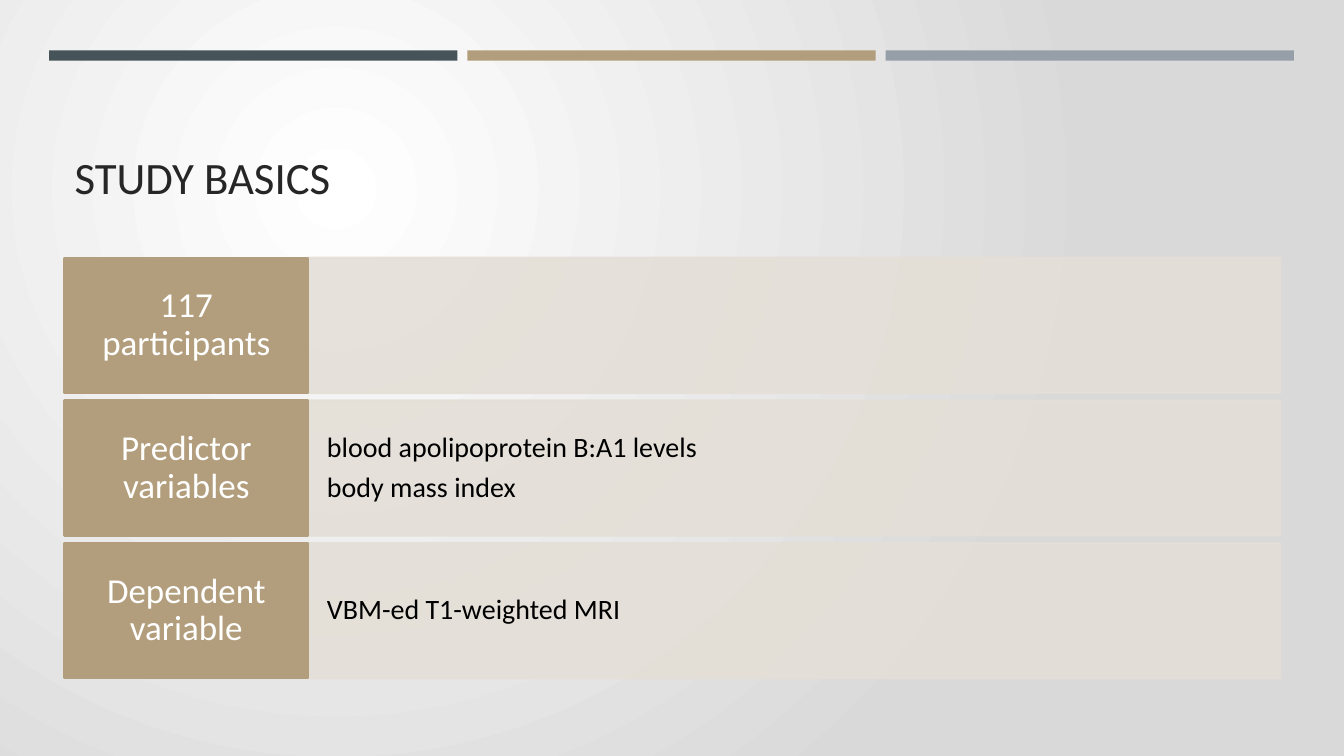
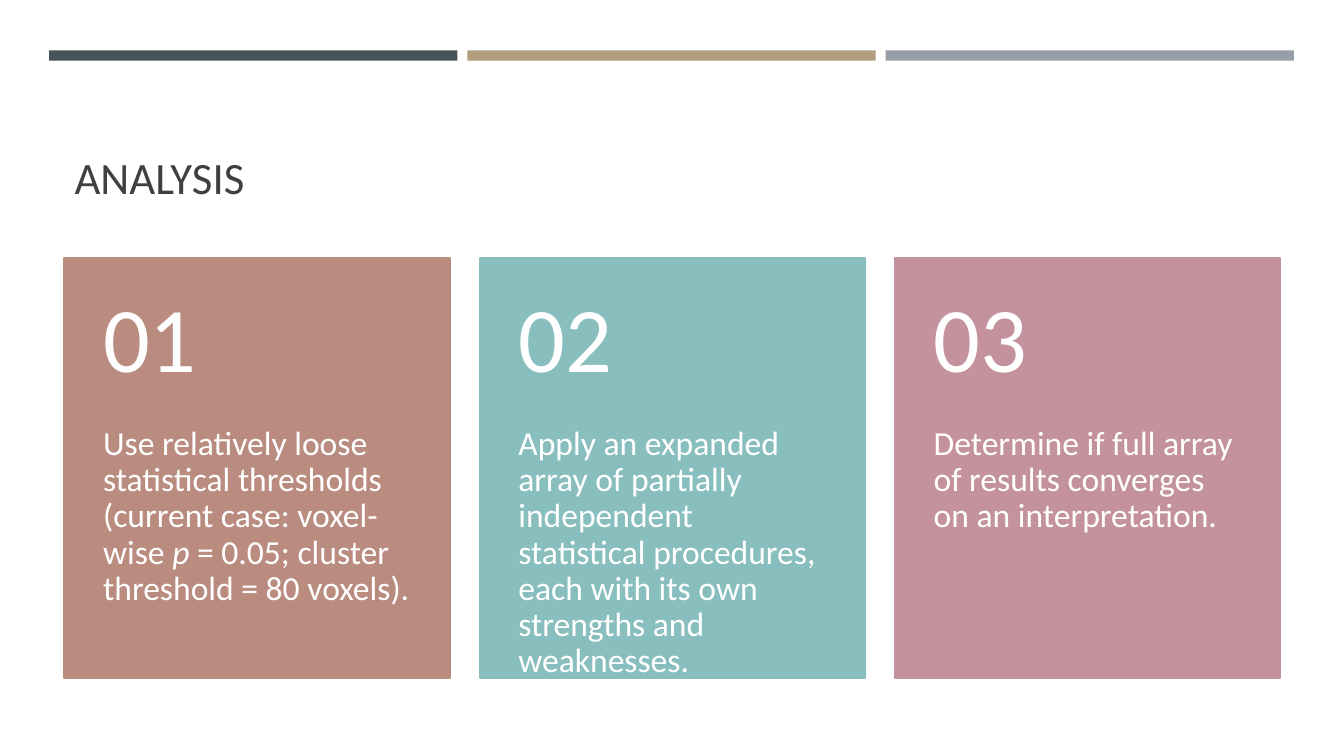
from lxml.etree import SubElement
from pptx import Presentation
from pptx.dml.color import RGBColor
from pptx.enum.shapes import MSO_SHAPE
from pptx.enum.text import MSO_ANCHOR, MSO_AUTO_SIZE, PP_ALIGN
from pptx.oxml.ns import qn
from pptx.util import Cm, Pt

# Colours
WHITE = RGBColor(0xFF, 0xFF, 0xFF)
BLACK = RGBColor(0x00, 0x00, 0x00)
SILVER = RGBColor(0xD9, 0xD9, 0xD9)
INK = RGBColor(0x26, 0x26, 0x26)
GRAY = RGBColor(0x40, 0x40, 0x40)
SLATE = RGBColor(0x46, 0x53, 0x59)
TAN = RGBColor(0xB2, 0x9E, 0x7C)
STEEL = RGBColor(0x96, 0x9F, 0xA7)
SAND = RGBColor(0xE4, 0xDF, 0xD7)
CLAY = RGBColor(0xBA, 0x8C, 0x7F)
TEAL = RGBColor(0x89, 0xBE, 0xBF)
ROSE = RGBColor(0xC4, 0x92, 0x9C)

# Content area, in centimetres
LEFT, TOP, WIDTH, HEIGHT = 1.63, 6.5, 30.63, 10.59


class Deck:
    font = "Calibri"
    title_only = 5

    def __init__(self):
        self.prs = Presentation()
        self.prs.slide_width = Cm(33.87)
        self.prs.slide_height = Cm(19.05)
        self.slide = None

    def start(self, title, color):
        """Add a slide with the three top bands and a title."""
        layout = self.prs.slide_layouts[self.title_only]
        self.slide = self.prs.slides.add_slide(layout)
        for i, shade in enumerate((SLATE, TAN, STEEL)):
            self.rect(1.24 + i * 10.54, 1.27, 10.29, 0.26, shade, edge=False)
        head = self.slide.shapes.title
        head.left, head.top = Cm(LEFT), Cm(1.96)
        head.width, head.height = Cm(WIDTH), Cm(3.3)
        self.letter(head, [title], 32, color, (0.25, 0.13),
                    anchor=MSO_ANCHOR.BOTTOM, spacing=1)

    def glow(self, inner, outer):
        """Fill the background with a circular gradient."""
        fill = self.slide.background.fill
        fill.gradient()
        for stop, color in zip(fill.gradient_stops, (inner, outer)):
            stop.color.rgb = color
        fill.gradient_stops[0].position = 0
        fill.gradient_stops[1].position = 1
        grad = self.slide.element.find(".//" + qn("a:gradFill"))
        grad.remove(grad.find(qn("a:lin")))
        circle = SubElement(grad, qn("a:path"), path="circle")
        SubElement(circle, qn("a:fillToRect"),
                   l="50000", t="50000", r="100000", b="100000")

    def rect(self, x, y, w, h, color, edge=True, alpha=None):
        box = self.slide.shapes.add_shape(
            MSO_SHAPE.RECTANGLE, Cm(x), Cm(y), Cm(w), Cm(h))
        box.shadow.inherit = False
        box.fill.solid()
        box.fill.fore_color.rgb = color
        if edge:
            box.line.color.rgb = color
            box.line.width = Pt(1.75)
        else:
            box.line.fill.background()
        if alpha:
            for tint in box.element.spPr.iter(qn("a:srgbClr")):
                SubElement(tint, qn("a:alpha"), val=str(alpha * 1000))
        return box

    def text(self, x, y, w, h, *args, **style):
        box = self.slide.shapes.add_textbox(Cm(x), Cm(y), Cm(w), Cm(h))
        self.letter(box, *args, **style)

    def letter(self, box, lines, size, color, pad, align=PP_ALIGN.LEFT,
               anchor=MSO_ANCHOR.MIDDLE, spacing=0.9):
        """Set text; words between asterisks become italic."""
        frame = box.text_frame
        frame.word_wrap = True
        frame.auto_size = MSO_AUTO_SIZE.NONE
        frame.vertical_anchor = anchor
        frame.margin_left = frame.margin_right = Cm(pad[0])
        frame.margin_top = frame.margin_bottom = Cm(pad[1])
        frame.text = "\n".join(lines)
        for para, line in zip(frame.paragraphs, lines):
            para.alignment = align
            para.line_spacing = spacing
            if line != lines[-1]:
                para.space_after = Pt(0.35 * size)
            if "*" in line:
                para.clear()
                for i, part in enumerate(line.split("*")):
                    run = para.add_run()
                    run.text = part
                    run.font.italic = i % 2 == 1
            for run in para.runs:
                run.font.name = self.font
                run.font.size = Pt(size)
                run.font.color.rgb = color

    def row(self, y, h, label, lines):
        """Draw a label block with a pale detail band beside it."""
        side = 6.13
        band = self.rect(LEFT + side, y, WIDTH - side, h, SAND, alpha=90)
        if lines:
            self.letter(band, lines, 20, BLACK, (0.48, 0.86))
        block = self.rect(LEFT, y, side, h, TAN)
        self.letter(block, [label], 25, WHITE, (0.33, 0.33),
                    align=PP_ALIGN.CENTER)

    def card(self, x, w, color, number, body):
        """Draw a coloured card with a large number above its text."""
        split = 4.24
        self.rect(x, TOP, w, HEIGHT, color)
        self.text(x, TOP + split, w, HEIGHT - split, [body], 24, WHITE,
                  (0.97, 0), anchor=MSO_ANCHOR.TOP)
        self.text(x, TOP, w, split, [number], 66, WHITE, (0.97, 0.46))


def main():
    deck = Deck()

    # Study basics: three rows
    deck.start("STUDY BASICS", INK)
    deck.glow(WHITE, SILVER)
    rows = [
        ("117 participants", []),
        ("Predictor variables",
         ["blood apolipoprotein B:A1 levels", "body mass index"]),
        ("Dependent variable", ["VBM-ed T1-weighted MRI"]),
    ]
    high = 3.4
    step = (HEIGHT - high) / (len(rows) - 1)
    for i, (label, lines) in enumerate(rows):
        deck.row(TOP + i * step, high, label, lines)

    # Analysis: three numbered cards
    deck.start("ANALYSIS", GRAY)
    cards = [
        (CLAY, "Use relatively loose statistical thresholds (current case: "
               "voxel-wise *p* = 0.05; cluster threshold = 80 voxels)."),
        (TEAL, "Apply an expanded array of partially independent statistical "
               "procedures, each with its own strengths and weaknesses."),
        (ROSE, "Determine if full array of results converges on an "
               "interpretation."),
    ]
    wide = 9.7
    step = (WIDTH - wide) / (len(cards) - 1)
    for i, (color, body) in enumerate(cards):
        deck.card(LEFT + i * step, wide, color, f"{i + 1:02}", body)

    deck.prs.save("out.pptx")


if __name__ == "__main__":
    main()
